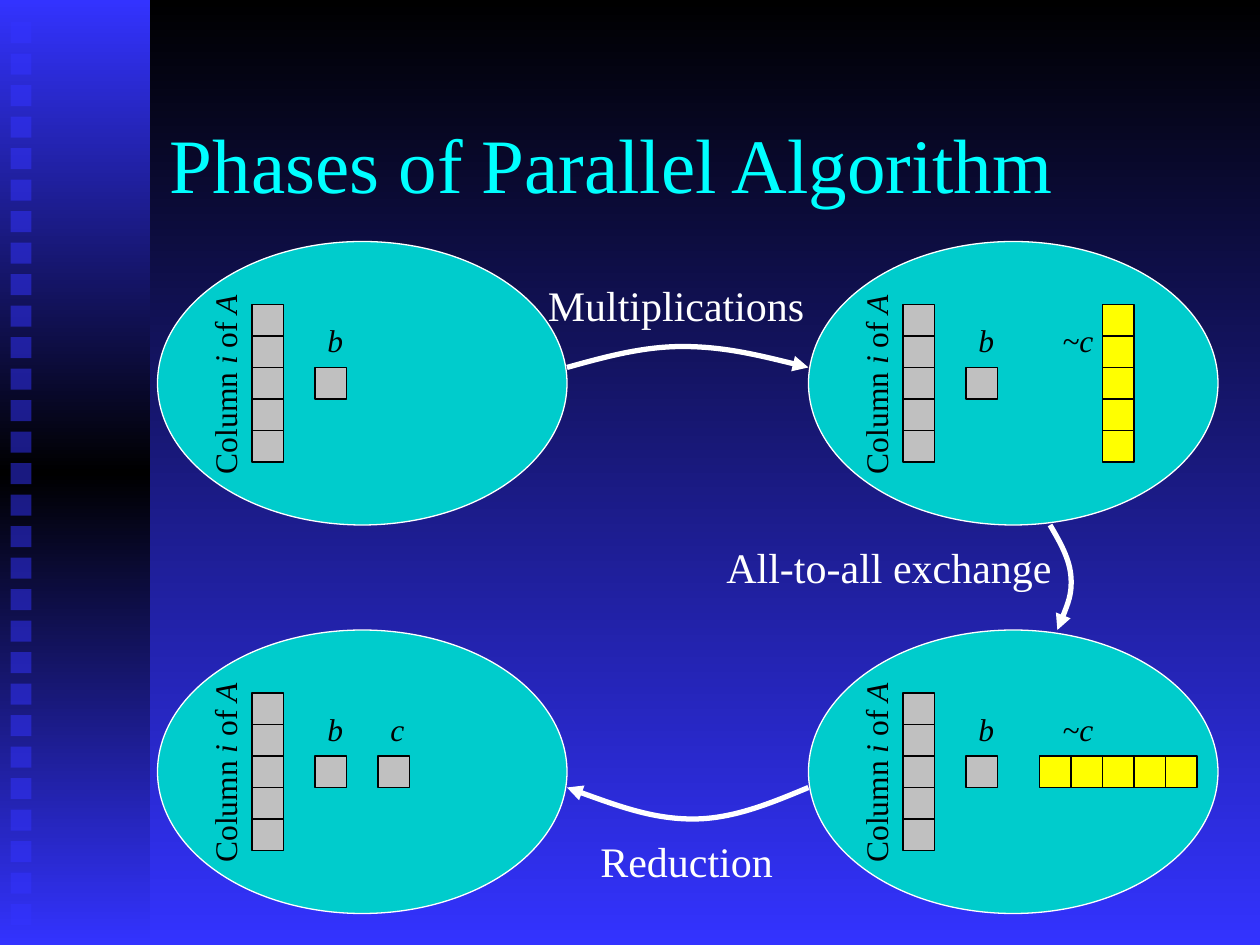
"""Build the slide showing the phases of a parallel algorithm."""
from copy import deepcopy

from lxml import etree
from pptx import Presentation
from pptx.dml.color import RGBColor
from pptx.enum.shapes import MSO_SHAPE
from pptx.enum.text import MSO_ANCHOR, MSO_AUTO_SIZE, PP_ALIGN
from pptx.oxml.ns import qn
from pptx.util import Inches, Pt

RECTANGLE, ELLIPSE = MSO_SHAPE.RECTANGLE, MSO_SHAPE.OVAL
MIDDLE, TOP = MSO_ANCHOR.MIDDLE, MSO_ANCHOR.TOP
LEFT, RIGHT = PP_ALIGN.LEFT, PP_ALIGN.RIGHT
FIT_SHAPE = MSO_AUTO_SIZE.SHAPE_TO_FIT_TEXT

COLORS = {
    "black": "000000", "blue": "3333FF", "cyan": "00FFFF", "teal": "00CCCC",
    "white": "FFFFFF", "gray": "C0C0C0", "yellow": "FFFF00",
}
COLUMNS, ROWS = 120, 90
CELL = 3
LABEL_HEIGHT = 4.8


class Painter:
    """Draw styled elements on one slide, measured in grid columns and rows."""

    font = "Times New Roman"

    def __init__(self, deck):
        self.page = deck.slides.add_slide(deck.slide_layouts[6])
        self.column = deck.slide_width / COLUMNS
        self.row = deck.slide_height / ROWS

    def place(self, column, row):
        return round(column * self.column), round(row * self.row)

    def color(self, name):
        return RGBColor.from_string(COLORS[name])

    def gradient(self, fill, names):
        fill.gradient()
        fill.gradient_angle = 270
        stops = self.page.element.xpath(".//a:gsLst")[-1]
        while len(stops) < len(names):
            stops.append(deepcopy(stops[-1]))
        for index, (stop, name) in enumerate(zip(fill.gradient_stops, names)):
            stop.color.rgb = self.color(name)
            stop.position = index / (len(names) - 1)

    def background(self, names):
        self.gradient(self.page.background.fill, names)

    def shape(self, kind, column, row, width, height, fill=None, line=None):
        shape = self.page.shapes.add_shape(
            kind, *self.place(column, row), *self.place(width, height))
        shape.shadow.inherit = False
        if fill:
            shape.fill.solid()
            shape.fill.fore_color.rgb = self.color(fill)
        if line:
            shape.line.color.rgb = self.color(line)
            shape.line.width = Pt(0.75)
        else:
            shape.line.fill.background()
        return shape

    def sidebar(self):
        bar = self.shape(RECTANGLE, 0, 0, 14.28, ROWS)
        self.gradient(bar.fill, ["blue", "black", "blue"])
        for index in range(29):
            square = self.shape(RECTANGLE, 1, 2.1 + 3 * index, 2, 2, "blue")
            tint = square.element.xpath("./p:spPr/a:solidFill/a:srgbClr")[0]
            etree.SubElement(tint, qn("a:alpha"), val="50000")

    def cells(self, column, row, fill="gray", across=1, down=1):
        for index in range(across * down):
            y, x = divmod(index, across)
            self.shape(RECTANGLE, column + x * CELL, row + y * CELL,
                       CELL, CELL, fill, "black")

    def text(self, spans, column, row, width, height=LABEL_HEIGHT, size=18,
             color="black", align=LEFT, anchor=TOP, wrap=False):
        box = self.page.shapes.add_textbox(
            *self.place(column, row), *self.place(width, height))
        frame = box.text_frame
        frame.word_wrap = wrap
        frame.vertical_anchor = anchor
        if not wrap:
            frame.auto_size = FIT_SHAPE
        para = frame.paragraphs[0]
        para.alignment = align
        para.font.name = self.font
        para.font.size = Pt(size)
        para.font.color.rgb = self.color(color)
        for words, italic in spans:
            span = para.add_run()
            span.text = words
            span.font.italic = italic
        return box

    def symbol(self, name, column, row, width=4):
        self.text([(name, True)], column, row, width)

    def caption(self, words, column, row, width):
        self.text([(words, False)], column, row, width, 6, 24, "white")

    def stage(self, column, row):
        self.shape(ELLIPSE, column, row, 39, 27, "teal", "white")
        self.cells(column + 9, row + 6, down=5)
        label = [("Column ", False), ("i", True), (" of ", False), ("A", True)]
        box = self.text(label, column - 3.5, row + 11.4, 19.8, align=RIGHT)
        box.rotation = 270
        self.cells(column + 15, row + 12)
        self.symbol("b", column + 15, row + 7)

    def arrow(self, start, *points):
        builder = self.page.shapes.build_freeform(*self.place(*start))
        builder.add_line_segments(
            [self.place(*point) for point in points], close=False)
        curve = builder.convert_to_shape()
        curve.shadow.inherit = False
        curve.fill.background()
        curve.line.color.rgb = self.color("white")
        curve.line.width = Pt(3)
        outline = curve.element.xpath(".//a:path")[0]
        segments = outline.xpath("./a:lnTo")
        for index in range(0, len(segments), 3):
            bezier = etree.SubElement(outline, qn("a:cubicBezTo"))
            for segment in segments[index:index + 3]:
                bezier.append(segment[0])
                outline.remove(segment)
        line = curve.element.xpath("./p:spPr/a:ln")[0]
        etree.SubElement(line, qn("a:tailEnd"), type="triangle")


def main():
    deck = Presentation()
    deck.slide_width, deck.slide_height = Inches(10), Inches(7.5)
    painter = Painter(deck)
    painter.background(["black", "blue"])
    painter.sidebar()
    painter.text([("Phases of Parallel Algorithm", False)], 15, 8, 102, 15,
                 size=44, color="cyan", anchor=MIDDLE, wrap=True)

    left, right, upper, lower = 15, 77, 23, 60
    for column, row in [(left, upper), (right, upper),
                        (right, lower), (left, lower)]:
        painter.stage(column, row)

    painter.cells(right + 28, upper + 6, "yellow", down=5)
    painter.cells(right + 22, lower + 12, "yellow", across=5)
    for row in (upper, lower):
        painter.symbol("~c", right + 23, row + 7, 6)
    painter.cells(left + 21, lower + 12)
    painter.symbol("c", left + 21, lower + 7)

    painter.arrow((54, 35), (57.6, 34), (61.2, 33), (65, 33),
                  (68.9, 33), (73, 34), (77, 35))
    painter.arrow((100, 50), (101, 51.7), (101.9, 53.3), (102, 55),
                  (102.1, 56.6), (101.4, 58.3), (100.7, 60))
    painter.arrow((77, 75), (73.4, 76.5), (69.8, 78), (66, 78),
                  (62.2, 78), (58.1, 76.5), (54, 75))
    painter.caption("Multiplications", 51, 26, 27.5)
    painter.caption("All-to-all exchange", 68, 51, 34)
    painter.caption("Reduction", 56, 79, 19.5)
    deck.save("out.pptx")


if __name__ == "__main__":
    main()
